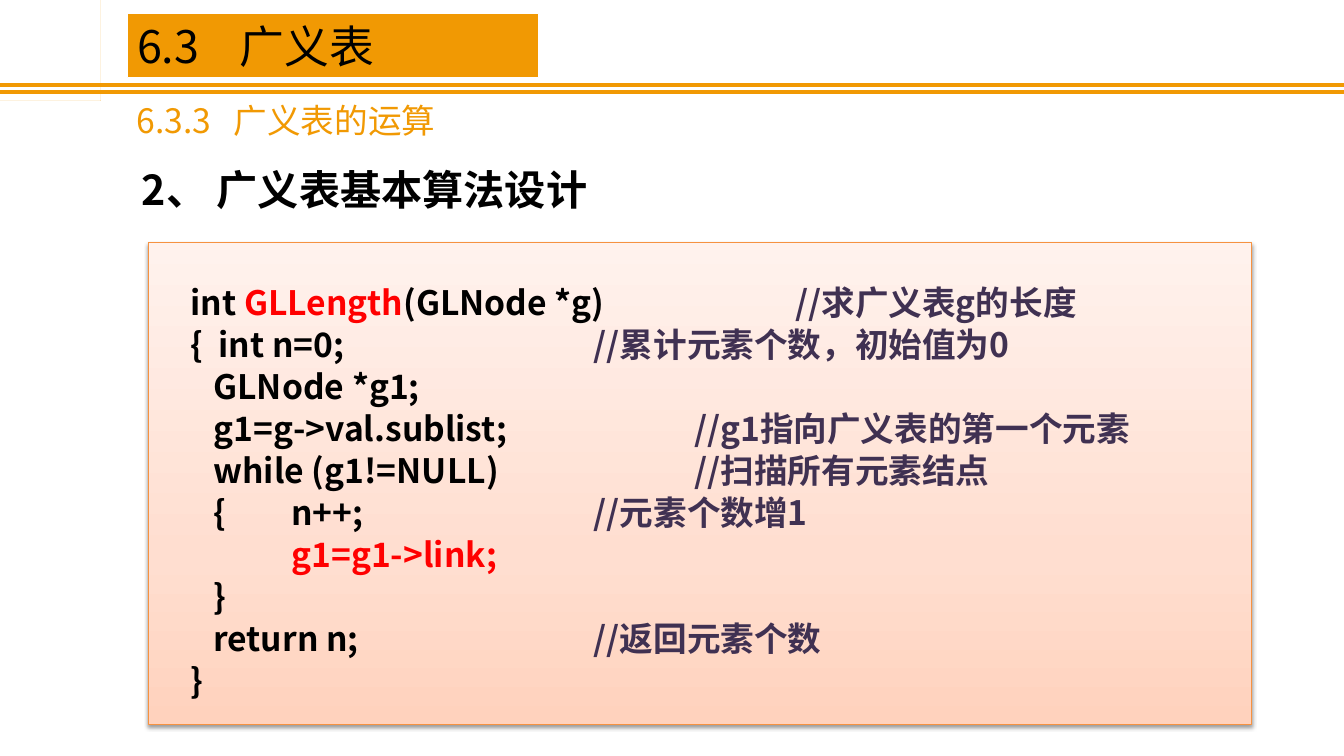
"""Build the slide on the length algorithm for generalized lists."""
from lxml import etree
from pptx import Presentation
from pptx.dml.color import RGBColor
from pptx.enum.shapes import MSO_CONNECTOR, MSO_SHAPE
from pptx.enum.text import MSO_ANCHOR, MSO_AUTO_SIZE, PP_ALIGN
from pptx.oxml.ns import qn
from pptx.util import Inches, Pt

STRAIGHT = MSO_CONNECTOR.STRAIGHT
RECTANGLE = MSO_SHAPE.RECTANGLE
TOP, MIDDLE = MSO_ANCHOR.TOP, MSO_ANCHOR.MIDDLE
NO_AUTOFIT = MSO_AUTO_SIZE.NONE
LEFT = PP_ALIGN.LEFT

FONT = "Noto Sans CJK SC"
COLORS = {
    "orange": "F19903",
    "black": "000000",
    "white": "FFFFFF",
    "red": "FF0000",
    "comment": "403152",
    "panel_line": "F69240",
}
PANEL_STOPS = [(0, "FFD2BD"), (35, "FFDED0"), (100, "FFF2ED")]
INDENT_TAB = 1
CURVE_STEPS = 8

CODE_LINES = [
    ([("int ", "black"), ("GLLength", "red"), ("(GLNode *g)", "black")], "//求广义表g的长度", 6),
    ([("{  int n=0;", "black")], "//累计元素个数，初始值为0", 4),
    ([("   GLNode *g1;", "black")], None, None),
    ([("   g1=g->val.sublist;", "black")], "//g1指向广义表的第一个元素", 5),
    ([("   while (g1!=NULL)", "black")], "//扫描所有元素结点", 5),
    ([("   {\tn++;", "black")], "//元素个数增1", 4),
    ([("\tg1=g1->link;", "red")], None, None),
    ([("   }", "black")], None, None),
    ([("   return n;", "black")], "//返回元素个数", 4),
    ([("}", "black")], None, None),
]

BOOK_CONTOURS = [
    [(1.01, .34), (1.01, .3), (1, .29), (1, .29, .99, .27, .96, .24),
     (.94, .23, .91, .21, .88, .2), (.88, .13), (.71, .14, .7, .26, .7, .26),
     (.7, .27), (.68, .24), (.65, .22, .61, .19, .55, .19),
     (.5, .19, .46, .22, .43, .24), (.4, .27, .39, .29, .39, .29),
     (.39, .34), (.37, .34), (.37, .68), (1.03, .68), (1.03, .34)],
    [(.49, .61), (.5, .6, .53, .59, .55, .59), (.58, .59, .6, .6, .62, .61)],
    [(.67, .6), (.65, .57, .61, .55, .55, .55), (.5, .55, .46, .57, .43, .59),
     (.43, .31), (.44, .3, .45, .29, .46, .28), (.48, .26, .51, .24, .55, .24),
     (.59, .24, .62, .26, .65, .28), (.66, .29, .66, .3, .67, .3), (.67, .31)],
    [(.84, .16), (.84, .5), (.84, .5, .78, .49, .72, .54), (.72, .28),
     (.72, .28, .74, .18, .84, .16)],
    [(.77, .61), (.79, .6, .81, .59, .84, .59), (.87, .59, .89, .6, .9, .61)],
    [(.96, .6), (.93, .57, .89, .55, .84, .55), (.79, .55, .75, .57, .72, .59),
     (.77, .52, .88, .54, .88, .54), (.88, .25), (.9, .25, .92, .27, .93, .28),
     (.94, .29, .95, .3, .96, .3), (.96, .31)],
]


def color(name):
    return RGBColor.from_string(COLORS[name])


def place(shape, left, top, width, height):
    shape.left, shape.top = Inches(left), Inches(top)
    shape.width, shape.height = Inches(width), Inches(height)


def set_tabs(paragraph, stops):
    tab_list = etree.SubElement(paragraph._p.get_or_add_pPr(), qn("a:tabLst"))
    for stop in stops:
        etree.SubElement(tab_list, qn("a:tab"), pos=str(Inches(stop)), algn="l")


def set_font(paragraph, size, bold=False, color_name=None):
    font = paragraph.font
    font.name, font.size, font.bold = FONT, Pt(size), bold
    if color_name:
        font.color.rgb = color(color_name)
    properties = paragraph._p.get_or_add_pPr().find(qn("a:defRPr"))
    east_asian = etree.Element(qn("a:ea"), typeface=FONT)
    properties.find(qn("a:latin")).addnext(east_asian)


def write_line(shape, text, size, color_name, bold=False, tab=None, anchor=TOP):
    frame = shape.text_frame
    frame.word_wrap = True
    frame.auto_size = NO_AUTOFIT
    frame.vertical_anchor = anchor
    paragraph = frame.paragraphs[0]
    paragraph.text = text
    paragraph.alignment = LEFT
    if tab:
        set_tabs(paragraph, [tab])
    set_font(paragraph, size, bold, color_name)


def add_rule(slide, width, top):
    rule = slide.shapes.add_connector(STRAIGHT, 0, Inches(top), width, Inches(top))
    rule.line.color.rgb = color("orange")
    rule.line.width = Pt(3)
    etree.SubElement(rule._element.spPr, qn("a:effectLst"))


def contour_points(contour):
    points = [contour[0]]
    for segment in contour[1:]:
        if len(segment) == 2:
            points.append(segment)
            continue
        controls = [points[-1], segment[:2], segment[2:4], segment[4:]]
        for step in range(1, CURVE_STEPS + 1):
            t = step / CURVE_STEPS
            weights = [(1 - t) ** 3, 3 * t * (1 - t) ** 2, 3 * t * t * (1 - t), t ** 3]
            points.append(tuple(
                sum(weight * control[axis] for weight, control in zip(weights, controls))
                for axis in (0, 1)))
    return points


def add_book(slide):
    builder = None
    for contour in BOOK_CONTOURS:
        start, *others = contour_points(contour)
        if builder is None:
            builder = slide.shapes.build_freeform(*start, scale=float(Inches(1)))
        else:
            builder.move_to(*start)
        builder.add_line_segments(others, close=True)
    book = builder.convert_to_shape()
    book.fill.solid()
    book.fill.fore_color.rgb = color("orange")
    book.line.fill.background()
    book.shadow.inherit = False


def add_title(slide):
    title = slide.shapes.title
    place(title, 1.26, 0.13, 4.08, 0.64)
    title.fill.solid()
    title.fill.fore_color.rgb = color("orange")
    title.line.color.rgb = color("white")
    title.line.width = Pt(0.75)
    write_line(title, "6.3\t广义表", 32, "black", tab=1.02, anchor=MIDDLE)


def add_heading(slide, box, text, size, color_name, bold=False, tab=None):
    heading = slide.shapes.add_textbox(*map(Inches, box))
    write_line(heading, text, size, color_name, bold, tab)


def style_panel(panel):
    panel.fill.gradient()
    panel.fill.gradient_angle = 90
    panel.line.color.rgb = color("panel_line")
    panel.line.width = Pt(0.75)
    panel.shadow.inherit = False
    properties = panel._element.spPr
    stops = properties.find(qn("a:gradFill")).find(qn("a:gsLst"))
    for stop in list(stops):
        stops.remove(stop)
    for position, value in PANEL_STOPS:
        stop = etree.SubElement(stops, qn("a:gs"), pos=str(position * 1000))
        etree.SubElement(stop, qn("a:srgbClr"), val=value)
    shadow = etree.SubElement(
        properties.find(qn("a:effectLst")), qn("a:outerShdw"),
        blurRad=str(Pt(3.1)), dist=str(Pt(1.6)), dir="5400000", rotWithShape="0")
    shade = etree.SubElement(shadow, qn("a:srgbClr"), val=COLORS["black"])
    etree.SubElement(shade, qn("a:alpha"), val="38000")


def add_code_panel(slide):
    panel = slide.shapes.add_shape(RECTANGLE, *map(Inches, (1.47, 2.41, 10.94, 4.78)))
    style_panel(panel)
    frame = panel.text_frame
    frame.word_wrap = True
    frame.vertical_anchor = TOP
    frame.margin_left, frame.margin_top = Inches(0.42), Inches(0.37)
    frame.margin_right, frame.margin_bottom = Inches(0.1), Inches(0.21)
    for index, (code, comment, column) in enumerate(CODE_LINES):
        paragraph = frame.add_paragraph() if index else frame.paragraphs[0]
        paragraph.alignment = LEFT
        paragraph.line_spacing = Pt(30)
        set_tabs(paragraph, [INDENT_TAB, column] if comment else [INDENT_TAB])
        set_font(paragraph, 24, bold=True)
        pieces = code + [("\t" + comment, "comment")] if comment else code
        for text, color_name in pieces:
            run = paragraph.add_run()
            run.text = text
            run.font.color.rgb = color(color_name)


def main():
    presentation = Presentation()
    presentation.slide_width, presentation.slide_height = Inches(13.33), Inches(7.5)
    slide = presentation.slides.add_slide(presentation.slide_layouts[5])
    for top in (0.84, 0.91):
        add_rule(slide, presentation.slide_width, top)
    add_book(slide)
    add_code_panel(slide)
    add_heading(slide, (1.31, 1.58, 5.51, 0.59), "2、 广义表基本算法设计", 29.4, "black", bold=True)
    add_title(slide)
    add_heading(slide, (1.26, 0.94, 4.19, 0.5), "6.3.3\t广义表的运算", 24, "orange", tab=0.96)
    presentation.save("out.pptx")


if __name__ == "__main__":
    main()
